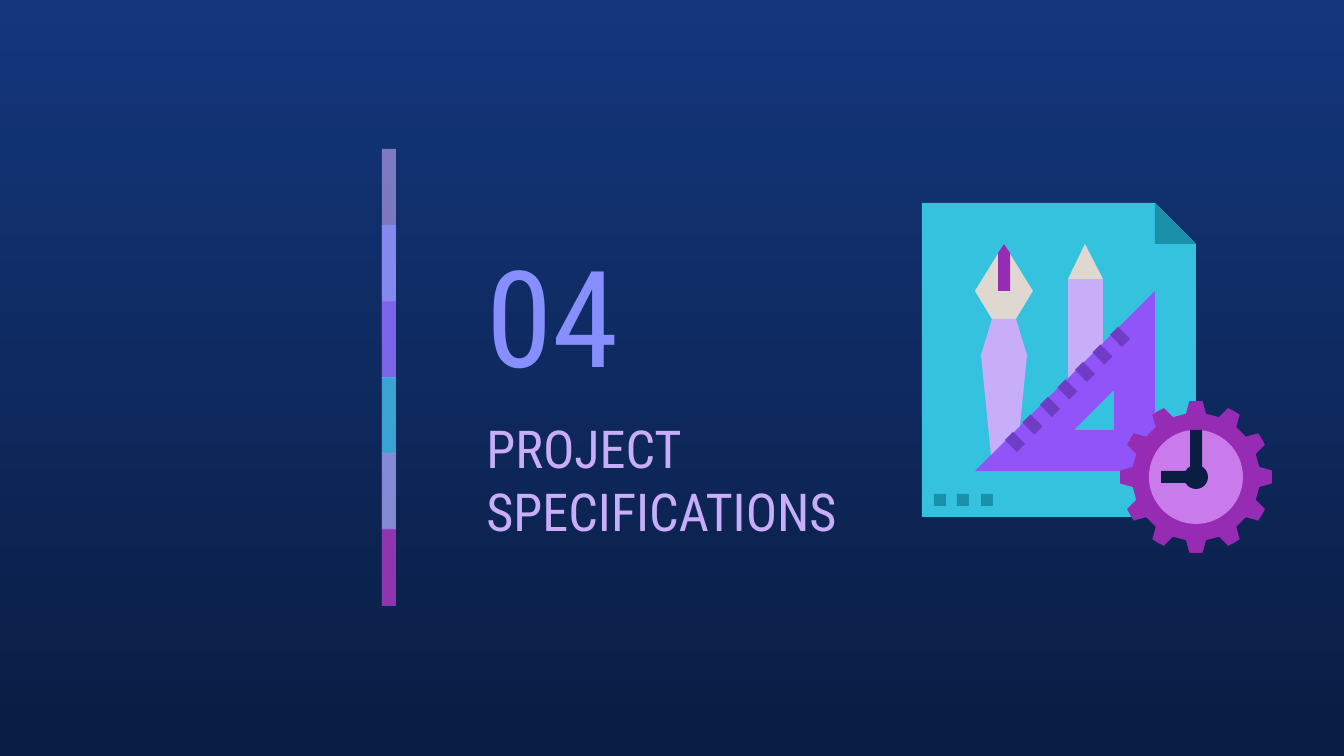
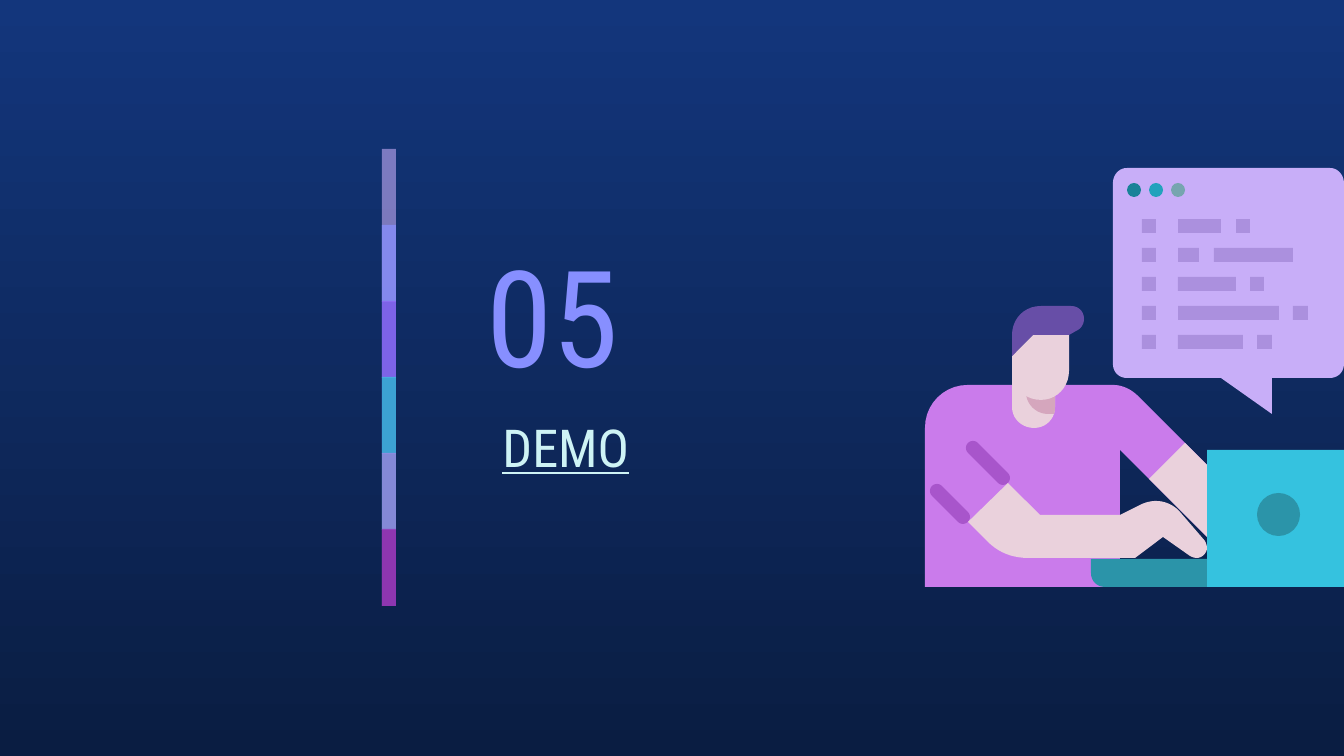
from dataclasses import dataclass
from math import cos, radians, sin

from lxml import etree
from pptx import Presentation
from pptx.dml.color import RGBColor
from pptx.enum.shapes import MSO_SHAPE
from pptx.enum.text import MSO_ANCHOR, MSO_AUTO_SIZE, PP_ALIGN
from pptx.oxml.ns import qn
from pptx.util import Inches, Pt

RECTANGLE, OVAL = MSO_SHAPE.RECTANGLE, MSO_SHAPE.OVAL
TOP, MIDDLE = MSO_ANCHOR.TOP, MSO_ANCHOR.MIDDLE
LEFT = PP_ALIGN.LEFT
NO_AUTOFIT = MSO_AUTO_SIZE.NONE

PX = Inches(10) / 1344
CURVE_STEPS = 10


@dataclass(frozen=True)
class Theme:
    font: str = "Roboto Condensed"
    number_size: int = 72
    title_size: int = 28
    sky: str = "13367C"
    navy: str = "0A1D42"
    periwinkle: str = "878FFF"
    lilac: str = "C8AEF8"
    lilac_dark: str = "AB90DE"
    ice: str = "CEF3F5"
    violet: str = "9154F8"
    violet_dark: str = "6F3CC6"
    orchid: str = "CA7BEB"
    orchid_dark: str = "A855CB"
    magenta: str = "972CB4"
    cyan: str = "35C2DF"
    teal: str = "1B91A9"
    teal_soft: str = "2B94A9"
    teal_deep: str = "198298"
    teal_bright: str = "22A2BC"
    teal_gray: str = "76A5AF"
    ivory: str = "DED8D0"
    skin: str = "EAD1DC"
    skin_shadow: str = "D5A6BD"
    hair: str = "674EA7"


theme = Theme()


def write_text(placeholder, text, box, *, size, color, anchor=TOP, underline=None):
    placeholder.left, placeholder.top, placeholder.width, placeholder.height = (
        round(value * PX) for value in box)
    frame = placeholder.text_frame
    frame.text = text
    frame.word_wrap = True
    frame.auto_size = NO_AUTOFIT
    frame.vertical_anchor = anchor
    frame.margin_left = frame.margin_right = Inches(0.1)
    frame.margin_top = frame.margin_bottom = Inches(0.1)
    paragraph = frame.paragraphs[0]
    paragraph.alignment = LEFT
    paragraph.space_before = Pt(0)
    font = paragraph.runs[0].font
    font.name = theme.font
    font.size = Pt(size)
    font.bold = False
    font.underline = underline
    font.color.rgb = RGBColor.from_string(color)


def draw(slide, color, *contours, preset=None, opacity=None):
    """Draw a preset in one (left, top, width, height) box, or closed contours.

    A contour lists (x, y) corners and six-number cubic curves.
    """
    if preset is not None:
        shape = slide.shapes.add_shape(preset, *(round(value * PX) for value in contours[0]))
    else:
        builder = None
        for contour in contours:
            points = [contour[0]]
            for item in contour[1:]:
                if len(item) == 2:
                    points.append(item)
                    continue
                curve = [points[-1], item[:2], item[2:4], item[4:]]
                for step in range(1, CURVE_STEPS + 1):
                    t = step / CURVE_STEPS
                    weights = ((1 - t) ** 3, 3 * t * (1 - t) ** 2, 3 * t * t * (1 - t), t ** 3)
                    points.append(tuple(
                        sum(weight * point[axis] for weight, point in zip(weights, curve))
                        for axis in (0, 1)))
            points = [(round(x * PX), round(y * PX)) for x, y in points]
            if builder is None:
                builder = slide.shapes.build_freeform(*points[0], scale=1.0)
            else:
                builder.move_to(*points[0])
            builder.add_line_segments(points[1:], close=True)
        shape = builder.convert_to_shape()
    shape.shadow.inherit = False
    shape.line.fill.background()
    shape.fill.solid()
    shape.fill.fore_color.rgb = RGBColor.from_string(color)
    if opacity is not None:
        color_element = shape.element.spPr.find(".//" + qn("a:srgbClr"))
        etree.SubElement(color_element, qn("a:alpha")).set("val", str(opacity * 1000))
    return shape


presentation = Presentation()
presentation.slide_width = round(1344 * PX)
presentation.slide_height = round(756 * PX)
section_layout = presentation.slide_layouts[2]

background = presentation.slide_master.background.fill
background.gradient()
background.gradient_angle = 270
for stop, color in zip(background.gradient_stops, (theme.sky, theme.navy)):
    stop.color.rgb = RGBColor.from_string(color)

# Shared section frame: number, title and colour bar
sections = [
    ("04", "PROJECT SPECIFICATIONS", (473, 403, 386, 129), theme.lilac, None),
    ("05", "DEMO", (489, 402, 386, 129), theme.ice, True),
]
bar_colors = [(theme.lilac, 59), (theme.periwinkle, 74), (theme.violet, 53),
              (theme.cyan, 76), (theme.orchid, 56), (theme.magenta, 74)]
BAR_TOP, BAR_STEP = 149, 76

for number, title, title_box, title_color, underline in sections:
    slide = presentation.slides.add_slide(section_layout)
    write_text(slide.placeholders[1], number, (473, 223, 235, 181),
               size=theme.number_size, color=theme.periwinkle, anchor=MIDDLE)
    write_text(slide.shapes.title, title, title_box,
               size=theme.title_size, color=title_color, underline=underline)
    bars = []
    for index, (color, opacity) in enumerate(bar_colors):
        is_last = index == len(bar_colors) - 1
        box = (382, BAR_TOP + index * BAR_STEP, 14, 77 if is_last else 153)
        bars.append(draw(slide, color, box, preset=RECTANGLE, opacity=opacity))
    slide.shapes.add_group_shape(bars)

specifications, demo = presentation.slides

# Blueprint sheet with drawing tools
page = [(922, 203), (922, 517), (1196, 517), (1196, 244), (1155, 203)]
page_fold = [(1155, 203), (1155, 244), (1196, 244)]
square_hole = [(1114, 390), (1114, 430), (1074, 430)]
set_square = [(1155, 291), (975, 471), (1155, 471)]
GEAR_X, GEAR_Y = 1196, 477
tooth_profile = [(64, -9), (76, -5), (76, 0), (76, 5), (64, 9)]
gear = [(GEAR_X + radius * sin(radians(tooth * 30 + offset)),
         GEAR_Y - radius * cos(radians(tooth * 30 + offset)))
        for tooth in range(12) for radius, offset in tooth_profile]
pencil_tip = [(1085, 244), (1068, 279), (1103, 279)]
pencil_body = [(1068, 279), (1068, 378), (1103, 343), (1103, 279)]
nib = [(1004, 244), (975, 291), (992, 319), (1016, 319), (1033, 291)]
pen_handle = [(992, 319), (981, 355), (991, 455), (1020, 426), (1027, 355), (1016, 319)]
nib_slit = [(1004, 244), (998, 253), (998, 291), (1010, 291), (1010, 253)]
clock_hands = [(1190, 430), (1190, 471), (1161, 471), (1161, 483), (1202, 483), (1202, 430)]

blueprint = [
    draw(specifications, theme.cyan, page),
    draw(specifications, theme.teal, page_fold),
    draw(specifications, theme.violet, square_hole, set_square),
    draw(specifications, theme.magenta, gear),
    draw(specifications, theme.ivory, pencil_tip),
    draw(specifications, theme.lilac, pencil_body),
    draw(specifications, theme.ivory, nib),
    draw(specifications, theme.lilac, pen_handle),
    draw(specifications, theme.orchid, (1149, 430, 94, 94), preset=OVAL),
    draw(specifications, theme.navy, clock_hands),
    draw(specifications, theme.navy, (1184, 465, 24, 24), preset=OVAL),
    draw(specifications, theme.magenta, nib_slit),
]
for index in range(7):
    shift = 17.5 * index
    tick = [(x + shift, y - shift)
            for x, y in ((1013, 432), (1005, 440), (1017, 452), (1025, 444))]
    blueprint.append(draw(specifications, theme.violet_dark, tick))
for left in (934, 957, 981):
    blueprint.append(draw(specifications, theme.teal, (left, 494, 12, 12), preset=RECTANGLE))
specifications.shapes.add_group_shape(blueprint)

# Developer at a laptop with a code bubble
shirt = [(968, 385), (944, 385, 925, 404, 925, 428), (925, 587), (1120, 587), (1120, 450),
         (1207, 537), (1207, 465), (1138, 396), (1131, 389, 1122, 385, 1113, 385)]
laptop_base = [(1091, 559), (1091, 573), (1091, 581, 1097, 587, 1105, 587),
               (1207, 587), (1207, 559)]
neck = [(1012, 364), (1012, 407), (1012, 419, 1022, 428, 1034, 428),
        (1046, 428, 1055, 419, 1055, 407), (1055, 364)]
neck_shadow = [(1026, 364), (1026, 392), (1026, 404, 1036, 414, 1048, 414), (1054, 414),
               (1055, 412, 1055, 410, 1055, 407), (1055, 364)]
near_arm = [(1008, 483), (968, 522), (988, 542), (999, 553, 1013, 558, 1028, 558),
            (1135, 558), (1163, 537), (1190, 556), (1192, 557, 1194, 558, 1197, 558),
            (1202, 558, 1207, 553, 1207, 548), (1207, 546, 1206, 543, 1205, 541),
            (1180, 512), (1174, 505, 1165, 501, 1156, 501),
            (1151, 501, 1147, 502, 1142, 504), (1120, 515), (1040, 515)]
far_arm = [(1185, 443), (1149, 479), (1207, 537), (1207, 465)]
bubble = [(1127, 168), (1119, 168, 1113, 175, 1113, 183), (1113, 364),
          (1113, 372, 1119, 378, 1127, 378), (1221, 378), (1272, 414), (1272, 378),
          (1330, 378), (1338, 378, 1344, 372, 1344, 364), (1344, 183),
          (1344, 175, 1338, 168, 1330, 168)]
head = [(1033, 335), (1012, 356), (1012, 371), (1012, 387, 1024, 400, 1041, 400),
        (1057, 400, 1069, 387, 1069, 371), (1069, 335)]
hair = [(1041, 306), (1024, 306, 1012, 319, 1012, 335), (1012, 356), (1033, 335),
        (1069, 335), (1076, 331), (1081, 329, 1084, 324, 1084, 319),
        (1084, 311, 1078, 306, 1071, 306)]

developer = [draw(demo, theme.orchid, shirt)]
for x, y, length in ((937, 491, 26), (973, 448, 30)):
    crease = [(x + shift + 7 * cos(radians(angle)), y + shift + 7 * sin(radians(angle)))
              for shift, start in ((0, 135), (length, 315))
              for angle in range(start, start + 181, 15)]
    developer.append(draw(demo, theme.orchid_dark, crease))
developer += [
    draw(demo, theme.cyan, (1207, 450, 137, 137), preset=RECTANGLE),
    draw(demo, theme.teal_soft, laptop_base),
    draw(demo, theme.skin, neck),
    draw(demo, theme.skin_shadow, neck_shadow),
    draw(demo, theme.skin, near_arm),
    draw(demo, theme.skin, far_arm),
    draw(demo, theme.teal_soft, (1257, 493, 43, 43), preset=OVAL),
    draw(demo, theme.lilac, bubble),
]
code_rows = [
    [(1178, 43), (1236, 14)],
    [(1178, 21), (1214, 79)],
    [(1178, 58), (1250, 14)],
    [(1178, 101), (1293, 15)],
    [(1178, 65), (1257, 15)],
]
for row, blocks in enumerate(code_rows):
    for left, width in [(1142, 14)] + blocks:
        box = (left, 219 + 29 * row, width, 14)
        developer.append(draw(demo, theme.lilac_dark, box, preset=RECTANGLE))
developer += [draw(demo, theme.skin, head), draw(demo, theme.hair, hair)]
for index, color in enumerate((theme.teal_deep, theme.teal_bright, theme.teal_gray)):
    developer.append(draw(demo, color, (1127 + 22 * index, 183, 14, 14), preset=OVAL))
demo.shapes.add_group_shape(developer)

presentation.save("out.pptx")
